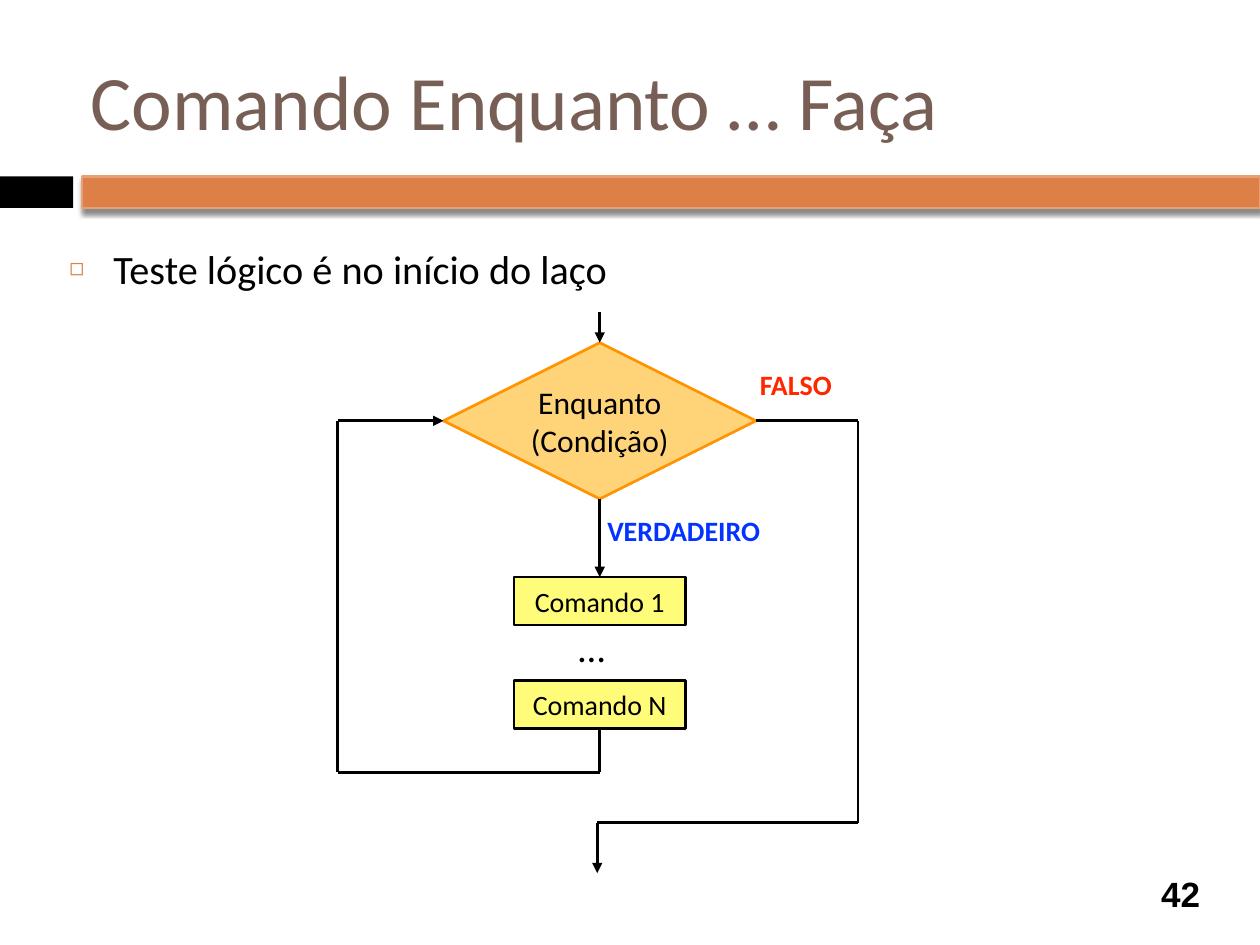
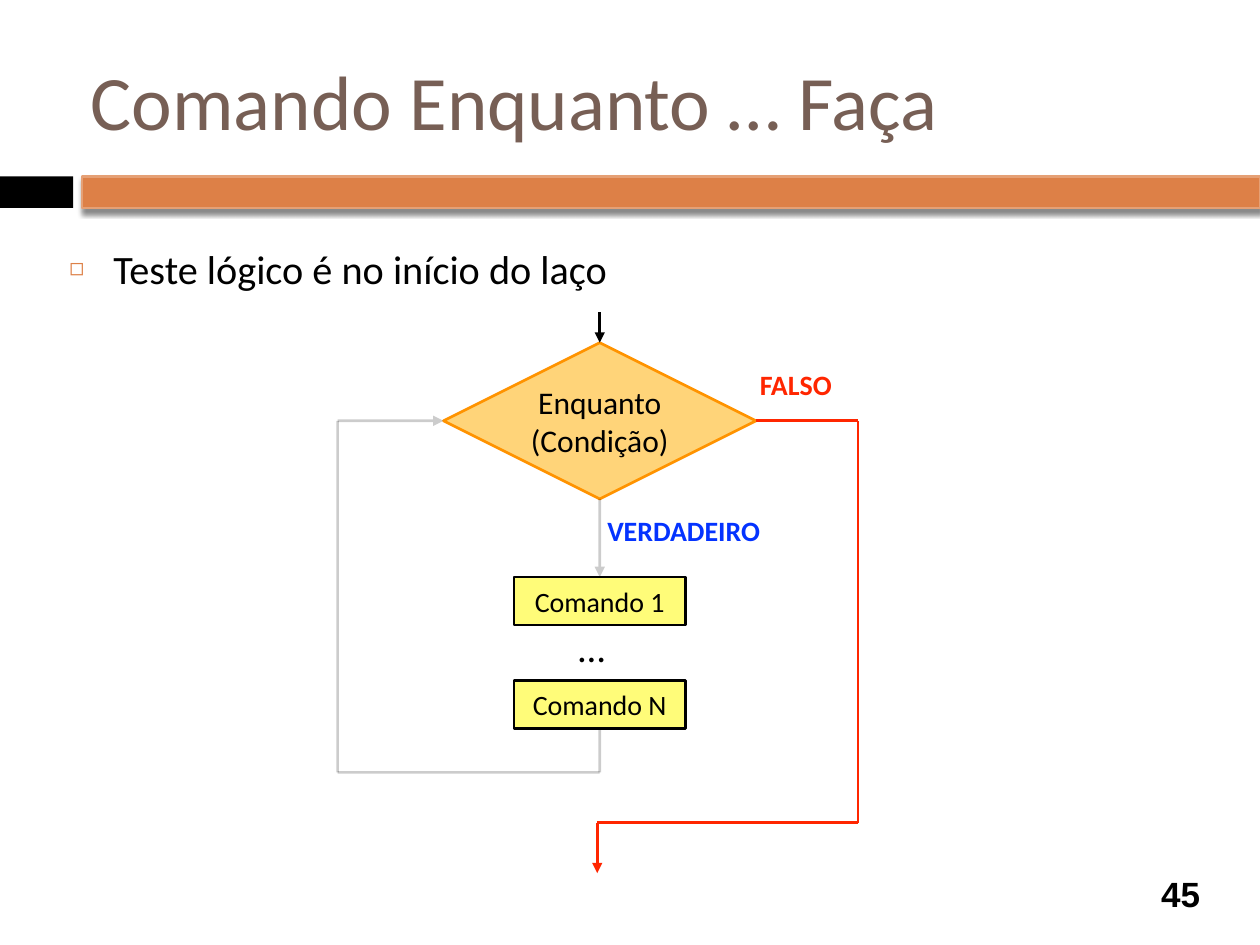
import pptx
import pptx.util
import pptx.dml.color
import pptx.enum.shapes
import pptx.enum.text
import pptx.oxml
import pptx.oxml.ns

COLORS = {
    "title": "775F55", "text": "000000", "band": "DD8047", "band_edge": "E5A075",
    "test": "FFD479", "test_edge": "FF9300", "command": "FFFC79",
    "false": "FF2600", "true": "0433FF",
}
COLUMNS, ROWS = 10, 7.5
INSET = 0.05
LINE_WIDTH = 1.5
TOP, LEFT, BOTTOM, RIGHT = range(4)
SHAPES = pptx.enum.shapes.MSO_SHAPE
ALIGN = pptx.enum.text.PP_ALIGN
ANCHOR = pptx.enum.text.MSO_ANCHOR
AUTO_SIZE = pptx.enum.text.MSO_AUTO_SIZE


def color(name):
    return pptx.dml.color.RGBColor.from_string(COLORS[name])


def element(xml):
    """Parse one drawing element written with the a: prefix."""
    tag, rest = xml[1:].split(" ", 1)
    return pptx.oxml.parse_xml(f"<{tag} {pptx.oxml.ns.nsdecls('a')} {rest}")


class Deck:
    """Holds the style and the current slide."""

    def __init__(self):
        self.presentation = pptx.Presentation()
        self.presentation.slide_width = pptx.util.Inches(10)
        self.presentation.slide_height = pptx.util.Inches(7.5)
        self.column = self.presentation.slide_width / COLUMNS
        self.row = self.presentation.slide_height / ROWS
        self.slide = None

    def place(self, left, top, width, height):
        return (round(left * self.column), round(top * self.row),
                round(width * self.column), round(height * self.row))

    def set_text(self, shape, text, size, name="text", font="Calibri", bold=False,
                 align=ALIGN.LEFT, anchor=ANCHOR.TOP, inset=INSET, wrap=True):
        frame = shape.text_frame
        frame.text = text
        frame.word_wrap = wrap
        frame.auto_size = AUTO_SIZE.NONE if wrap else AUTO_SIZE.SHAPE_TO_FIT_TEXT
        frame.vertical_anchor = anchor
        frame.margin_left = frame.margin_right = pptx.util.Inches(inset)
        frame.margin_top = frame.margin_bottom = pptx.util.Inches(inset)
        for paragraph in frame.paragraphs:
            paragraph.alignment = align
            paragraph.space_before = pptx.util.Pt(0)
            for run in paragraph.runs:
                run.font.size = pptx.util.Pt(size)
                run.font.name = font
                run.font.bold = bold
                run.font.color.rgb = color(name)

    def placeholder(self, shape, box, text, size, **style):
        shape.left, shape.top, shape.width, shape.height = self.place(*box)
        self.set_text(shape, text, size, **style)

    def bullet(self, box, text):
        body = self.slide.placeholders[1]
        self.placeholder(body, box, text, 23)
        properties = body.text_frame.paragraphs[0]._p.get_or_add_pPr()
        indent = pptx.util.Inches(0.35)
        properties.set("marL", str(indent))
        properties.set("indent", str(-indent))
        properties.append(element(f'<a:buClr ><a:srgbClr val="{COLORS["band"]}"/></a:buClr>'))
        properties.append(element('<a:buSzPct val="60000"/>'))
        properties.append(element('<a:buChar char="◻"/>'))

    def label(self, box, text, size, **style):
        self.set_text(self.slide.shapes.add_textbox(*self.place(*box)), text, size, **style)

    def shape(self, kind, box, fill, edge=None):
        shape = self.slide.shapes.add_shape(kind, *self.place(*box))
        shape.shadow.inherit = False
        shape.fill.solid()
        shape.fill.fore_color.rgb = color(fill)
        if edge:
            shape.line.color.rgb = color(edge)
            shape.line.width = pptx.util.Pt(LINE_WIDTH)
        else:
            shape.line.fill.background()
        return shape

    def step(self, kind, box, text, size, fill, edge, inset=INSET):
        shape = self.shape(kind, box, fill, edge)
        self.set_text(shape, text, size, align=ALIGN.CENTER, anchor=ANCHOR.MIDDLE, inset=inset)
        return shape

    def line(self, start, end, name, opacity=100, arrow=False, begin=None, finish=None):
        """Draw a line; begin and finish are (shape, side) pairs to join."""
        x1, y1, x2, y2 = self.place(*start, *end)
        connector = self.slide.shapes.add_connector(
            pptx.enum.shapes.MSO_CONNECTOR.STRAIGHT, x1, y1, x2, y2)
        if begin:
            connector.begin_connect(*begin)
        if finish:
            connector.end_connect(*finish)
        connector.line.color.rgb = color(name)
        connector.line.width = pptx.util.Pt(LINE_WIDTH)
        outline = connector.line._get_or_add_ln()
        if opacity < 100:
            fill = outline.find(".//" + pptx.oxml.ns.qn("a:srgbClr"))
            fill.append(element(f'<a:alpha val="{opacity * 1000}"/>'))
        if arrow:
            outline.append(element('<a:tailEnd type="triangle"/>'))
        connector._element.spPr.append(element("<a:effectLst />"))

    def bands(self):
        self.shape(SHAPES.RECTANGLE, (0, 1.4, 0.58, 0.25), "text")
        band = self.shape(SHAPES.RECTANGLE, (0.65, 1.4, 9.35, 0.25), "band", "band_edge")
        effects = band._element.spPr.find(pptx.oxml.ns.qn("a:effectLst"))
        effects.append(element(
            '<a:outerShdw blurRad="38100" dist="30480" dir="5400000" rotWithShape="0">'
            '<a:srgbClr val="000000"><a:alpha val="45000"/></a:srgbClr></a:outerShdw>'))

    def new_slide(self, title, number):
        self.slide = self.presentation.slides.add_slide(self.presentation.slide_layouts[1])
        self.bands()
        self.placeholder(self.slide.shapes.title, (0.67, 0.25, 8.92, 1.08), title, 44,
                         name="title", anchor=ANCHOR.MIDDLE)
        self.label((9.08, 6.89, 0.58, 0.41), number, 20, font="Arial", bold=True,
                   align=ALIGN.CENTER, anchor=ANCHOR.MIDDLE)

    def while_flow(self, exit_color, loop_opacity):
        center, test_y = 4.76, 3.34
        loop_x, loop_y = 2.68, 6.13
        exit_x, exit_y, exit_center = 6.81, 6.53, 4.74
        loop = {"name": "text", "opacity": loop_opacity}

        # Condition and commands
        test = self.step(SHAPES.DIAMOND, (3.52, 2.72, 2.48, 1.24), "Enquanto\n(Condição)",
                         18, "test", "test_edge", inset=0)
        first, last = [
            self.step(SHAPES.RECTANGLE, (4.08, top, 1.36, 0.38), text, 16, "command", "text")
            for top, text in ((4.58, "Comando 1"), (5.4, "Comando N"))]
        self.label((4.54, 4.9, 0.42, 0.43), "…", 22, wrap=False)

        # Entry and the loop back to the condition
        self.line((center, 2.48), (center, 2.72), "text", arrow=True, finish=(test, TOP))
        self.line((center, 3.96), (center, 4.58), arrow=True,
                  begin=(test, BOTTOM), finish=(first, TOP), **loop)
        self.line((center, 5.78), (center, loop_y), begin=(last, BOTTOM), **loop)
        self.line((center, loop_y), (loop_x, loop_y), **loop)
        self.line((loop_x, test_y), (loop_x, loop_y), **loop)
        self.line((loop_x, test_y), (3.52, test_y), arrow=True, finish=(test, LEFT), **loop)

        # Exit when the condition is false
        self.line((6, test_y), (exit_x, test_y), exit_color, begin=(test, RIGHT))
        self.line((exit_x, test_y), (exit_x, exit_y), exit_color)
        self.line((exit_x, exit_y), (exit_center, exit_y), exit_color)
        self.line((exit_center, exit_y), (exit_center, 6.93), exit_color, arrow=True)

        # Branch labels
        self.label((5.98, 2.87, 0.72, 0.35), "FALSO", 16, name="false", bold=True, wrap=False)
        self.label((4.77, 4.03, 1.36, 0.35), "VERDADEIRO", 16, name="true", bold=True,
                   wrap=False)


def main():
    deck = Deck()
    # Number, list height, colour of the exit path, opacity of the loop
    for number, list_height, exit_color, loop_opacity in (
            ("42", 0.53, "text", 100), ("45", 0.93, "false", 20)):
        deck.new_slide("Comando Enquanto … Faça", number)
        deck.bullet((0.5, 1.89, 9, list_height), "Teste lógico é no início do laço")
        deck.while_flow(exit_color, loop_opacity)
    deck.presentation.save("out.pptx")


if __name__ == "__main__":
    main()
